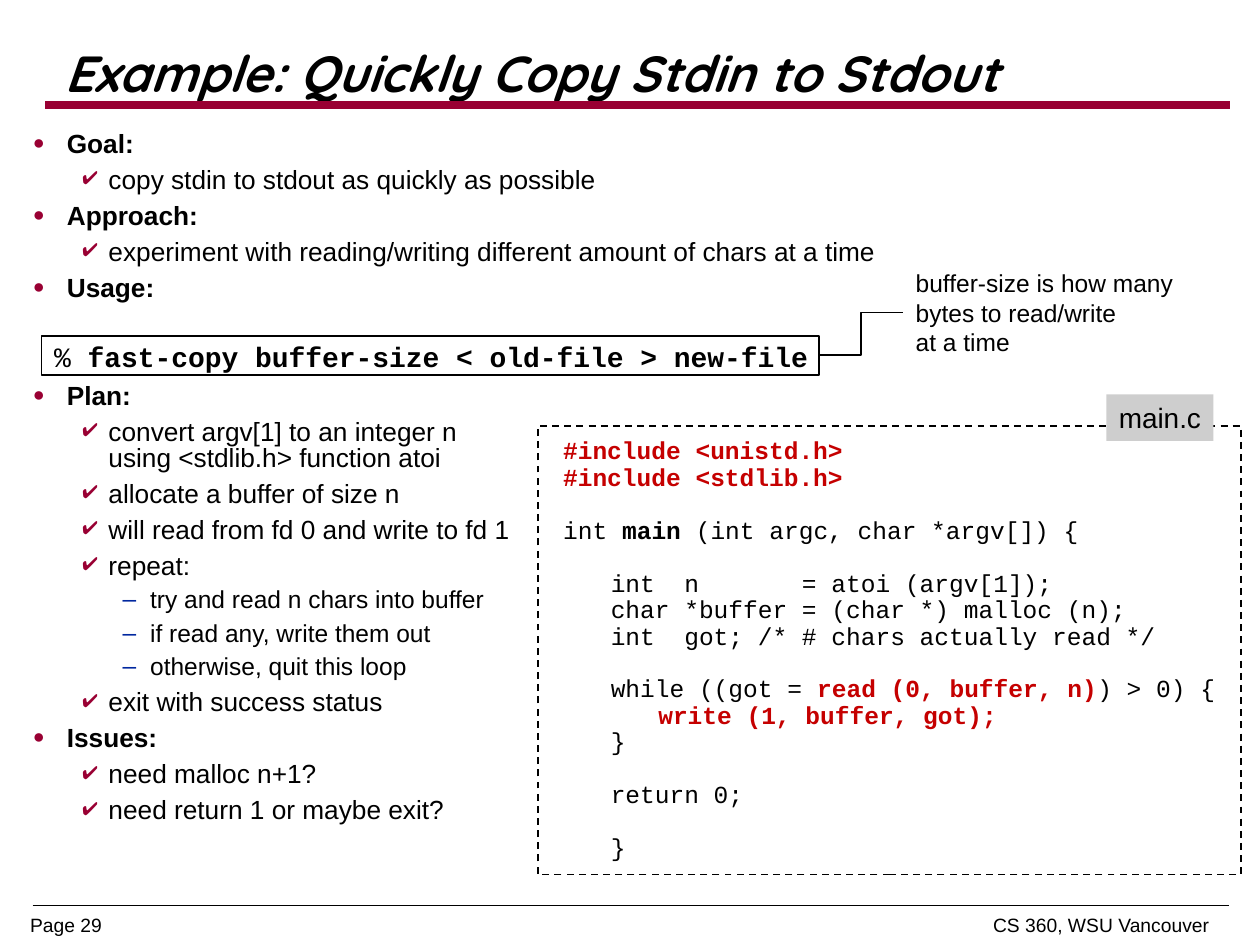
from lxml import etree
from pptx import Presentation
from pptx.dml.color import RGBColor
from pptx.enum.dml import MSO_LINE
from pptx.enum.shapes import MSO_CONNECTOR, MSO_SHAPE
from pptx.enum.text import MSO_ANCHOR, MSO_AUTO_SIZE, PP_ALIGN
from pptx.oxml.ns import qn
from pptx.util import Pt

RECT = MSO_SHAPE.RECTANGLE
STRAIGHT, ELBOW = MSO_CONNECTOR.STRAIGHT, MSO_CONNECTOR.ELBOW
TOP, MIDDLE = MSO_ANCHOR.TOP, MSO_ANCHOR.MIDDLE
LEFT = PP_ALIGN.LEFT
NO_FIT = MSO_AUTO_SIZE.NONE
DASH = MSO_LINE.DASH

BLACK, MAROON, BLUE, RED, GREY = "000000", "990033", "00279F", "C50000", "CECECE"
SANS, MONO, DISPLAY = "Arial", "Courier New", "Quicksand"

# level: (left margin, hanging, size, space before, bullet, colour, bullet percent)
LEVELS = [
    (19.4, 19.4, 15, 5.6, "●", MAROON, 75),
    (43.2, 15.1, 15, 5.6, "✔", MAROON, 70),
    (67, 15.8, 14, 5.2, "–", BLUE, 100),
]
USAGE_GAP = 46.8
CODE_GAP = 15.1
CODE_INDENT = 27.2

OUTLINE = [
    (0, "Goal:"),
    (1, "copy stdin to stdout as quickly as possible"),
    (0, "Approach:"),
    (1, "experiment with reading/writing different amount of chars at a time"),
    (0, "Usage:"),
    (0, "Plan:"),
    (1, "convert argv[1] to an integer n\vusing <stdlib.h> function atoi"),
    (1, "allocate a buffer of size n"),
    (1, "will read from fd 0 and write to fd 1"),
    (1, "repeat:"),
    (2, "try and read n chars into buffer"),
    (2, "if read any, write them out"),
    (2, "otherwise, quit this loop"),
    (1, "exit with success status"),
    (0, "Issues:"),
    (1, "need malloc n+1?"),
    (1, "need return 1 or maybe exit?"),
]

# indent, blank lines above, runs of (text, bold, colour)
CODE = [
    (0, 0, [("#include <unistd.h>", True, RED)]),
    (0, 0, [("#include <stdlib.h>", True, RED)]),
    (0, 1, [("int ", False, BLACK), ("main", True, BLACK),
            (" (int argc, char *argv[]) {", False, BLACK)]),
    (1, 1, [("int  n       = atoi (argv[1]);", False, BLACK)]),
    (1, 0, [("char *buffer = (char *) malloc (n);", False, BLACK)]),
    (1, 0, [("int  got; /* # chars actually read */", False, BLACK)]),
    (1, 1, [("while ((got = ", False, BLACK), ("read (0, buffer, n)", True, RED),
            (") > 0) {", False, BLACK)]),
    (2, 0, [("write (1, buffer, got);", True, RED)]),
    (1, 0, [("}", False, BLACK)]),
    (1, 1, [("return 0;", False, BLACK)]),
    (1, 1, [("}", False, BLACK)]),
]


def rgb(value):
    return RGBColor.from_string(value)


def add_xml(parent, tag, **attrs):
    return etree.SubElement(parent, qn(tag), attrs)


class Deck:
    def __init__(self, prs):
        self.s = prs.slides.add_slide(prs.slide_layouts[1])

    def frame(self, sp, insets, anchor=TOP, wrap=False):
        tf = sp.text_frame
        tf.auto_size = NO_FIT
        tf.word_wrap = wrap
        tf.vertical_anchor = anchor
        tf.margin_left = tf.margin_right = Pt(insets[0])
        tf.margin_top = tf.margin_bottom = Pt(insets[1])
        return tf

    def place(self, sp, box):
        sp.left, sp.top, sp.width, sp.height = (Pt(v) for v in box)

    def font(self, p, size, name=SANS, bold=False, italic=False, color=BLACK):
        p.alignment = LEFT
        f = p.font
        f.size, f.name, f.bold, f.italic = Pt(size), name, bold, italic
        f.color.rgb = rgb(color)

    def runs(self, p, parts):
        for text, bold, color in parts:
            r = p.add_run()
            r.text = text
            r.font.bold = bold
            r.font.color.rgb = rgb(color)

    def paragraphs(self, tf, items):
        for i, item in enumerate(items):
            yield (tf.add_paragraph() if i else tf.paragraphs[0]), item

    def title(self, text, box):
        sp = self.s.shapes.title
        self.place(sp, box)
        p = self.frame(sp, (6.5, 3.6), MIDDLE, True).paragraphs[0]
        p.text = text
        p.line_spacing = 0.87
        self.font(p, 29, DISPLAY, True, True)

    def outline(self, items, box):
        sp = self.s.placeholders[1]
        self.place(sp, box)
        tf = self.frame(sp, (6.5, 3.6), wrap=True)
        for p, (level, text) in self.paragraphs(tf, items):
            margin, hang, size, before, char, color, percent = LEVELS[level]
            p.text = text
            p.level = level
            p.line_spacing = 0.83
            p.space_before = Pt(USAGE_GAP if text == "Plan:" else before)
            pPr = p._p.get_or_add_pPr()
            pPr.set("marL", str(Pt(margin)))
            pPr.set("indent", str(-Pt(hang)))
            add_xml(add_xml(pPr, "a:buClr"), "a:srgbClr", val=color)
            add_xml(pPr, "a:buSzPct", val=str(percent * 1000))
            add_xml(pPr, "a:buChar", char=char)
            self.font(p, size, bold=level == 0)

    def text(self, lines, box, size, insets=(7.2, 3.6), wrap=False):
        sp = self.s.shapes.add_textbox(*(Pt(v) for v in box))
        tf = self.frame(sp, insets, wrap=wrap)
        for p, line in self.paragraphs(tf, lines):
            p.text = line
            self.font(p, size)
        return tf

    def footer(self, left, right, box, tab):
        p = self.text([f"{left}\t{right}"], box, 11, (0, 0)).paragraphs[0]
        tabs = etree.Element(qn("a:tabLst"))
        add_xml(tabs, "a:tab", pos=str(Pt(tab)), algn="r")
        p._p.pPr.insert(0, tabs)
        p.line_spacing = 0.96

    def box(self, box, insets=(7.2, 3.6), anchor=TOP, fill=None, dash=None):
        sp = self.s.shapes.add_shape(RECT, *(Pt(v) for v in box))
        sp.shadow.inherit = False
        if fill:
            sp.fill.solid()
            sp.fill.fore_color.rgb = rgb(fill)
            sp.line.fill.background()
        else:
            sp.fill.background()
            sp.line.color.rgb = rgb(BLACK)
            sp.line.width = Pt(1)
            sp.line.dash_style = dash
        return self.frame(sp, insets, anchor)

    def command(self, parts, box):
        p = self.box(box, anchor=MIDDLE).paragraphs[0]
        self.runs(p, parts)
        self.font(p, 16, MONO)

    def code(self, lines, box):
        tf = self.box(box, (14.4, 7.2), dash=DASH)
        for p, (indent, gap, parts) in self.paragraphs(tf, lines):
            self.runs(p, parts)
            p.line_spacing = 0.9
            p.space_before = Pt(gap * CODE_GAP)
            p._p.get_or_add_pPr().set("marL", str(Pt(indent * CODE_INDENT)))
            self.font(p, 14, MONO)

    def label(self, text, box):
        p = self.box(box, fill=GREY).paragraphs[0]
        p.text = text
        self.font(p, 16)

    def line(self, ends, width, color=BLACK, kind=STRAIGHT):
        sp = self.s.shapes.add_connector(kind, *(Pt(v) for v in ends))
        sp.line.color.rgb = rgb(color)
        sp.line.width = Pt(width)
        add_xml(sp._element.spPr, "a:effectLst")


def main():
    prs = Presentation()
    prs.slide_width, prs.slide_height = Pt(720), Pt(540)
    d = Deck(prs)
    d.footer("Page 29", "CS 360, WSU Vancouver", (17.2, 522.7, 676, 17.3), 674)
    d.line((18.7, 517.4, 702, 517.4), 0.25)
    d.line((26, 59.9, 702.7, 59.9), 4.5, MAROON)
    d.title("Example: Quickly Copy Stdin to Stdout", (30.3, 22.3, 689, 43.2))
    d.outline(OUTLINE, (12.3, 72, 666, 417))
    d.command([("% ", False, BLACK),
               ("fast-copy buffer-size < old-file > new-file", True, BLACK)],
              (23.8, 192.2, 444.2, 22.3))
    d.code(CODE, (307.4, 243.4, 401.8, 256.3))
    d.label("main.c", (632.2, 225.4, 61.2, 26.6))
    d.text(["buffer-size is how many bytes to read/write", "at a time"],
           (516.2, 149.8, 192.2, 57.6), 14, wrap=True)
    d.line((468, 203, 516.2, 178.6), 1, kind=ELBOW)
    prs.save("out.pptx")


if __name__ == "__main__":
    main()
